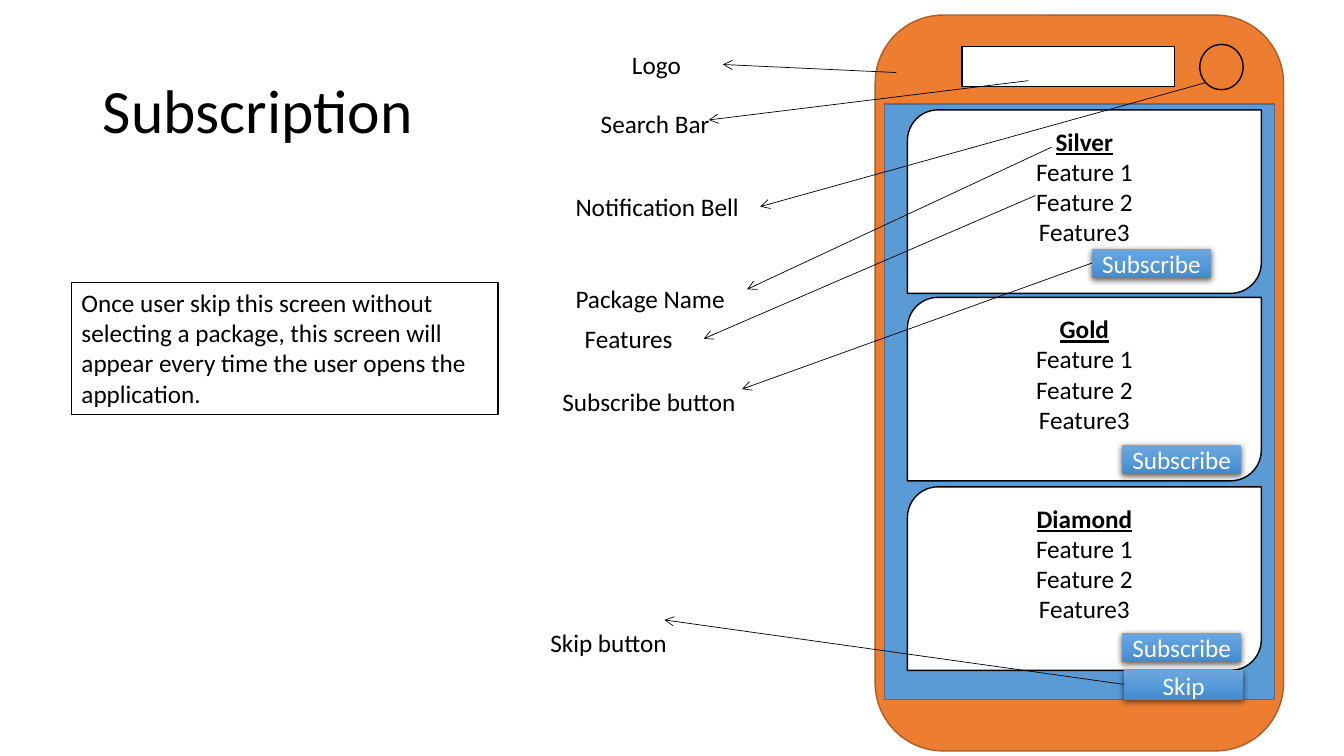
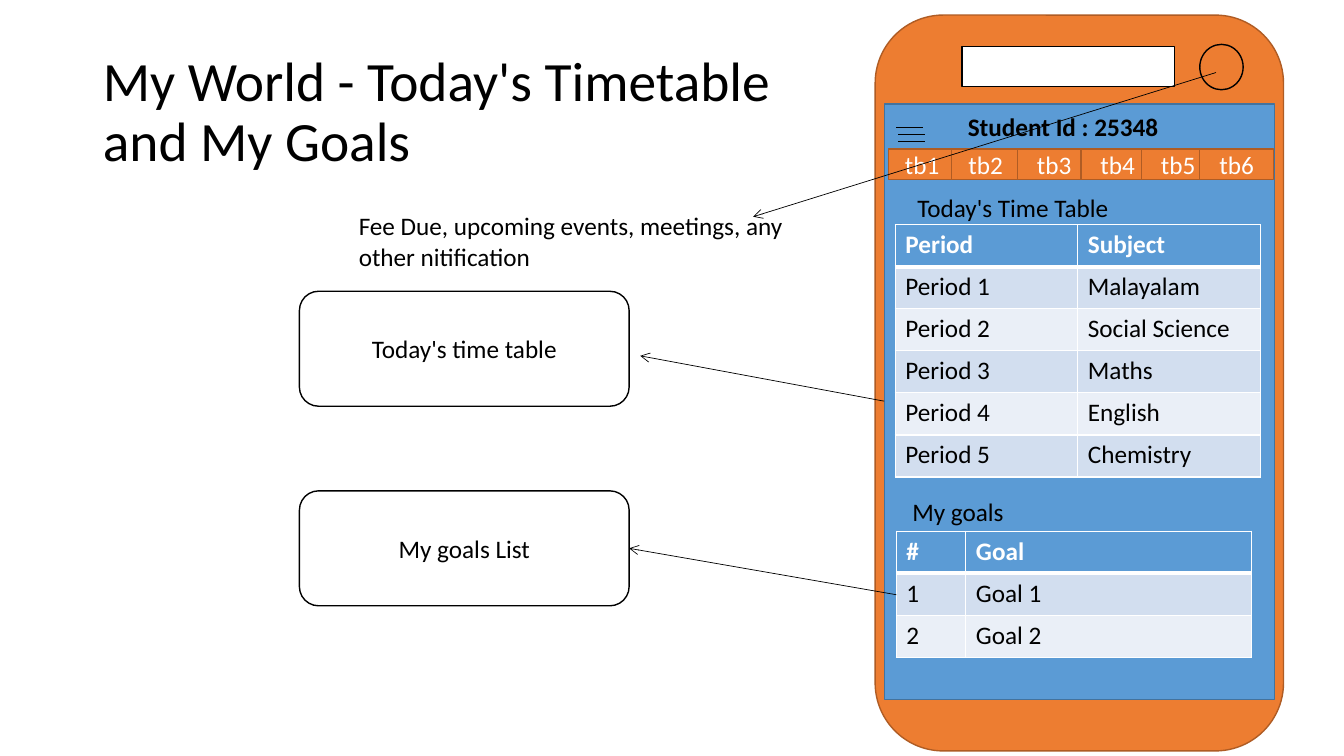
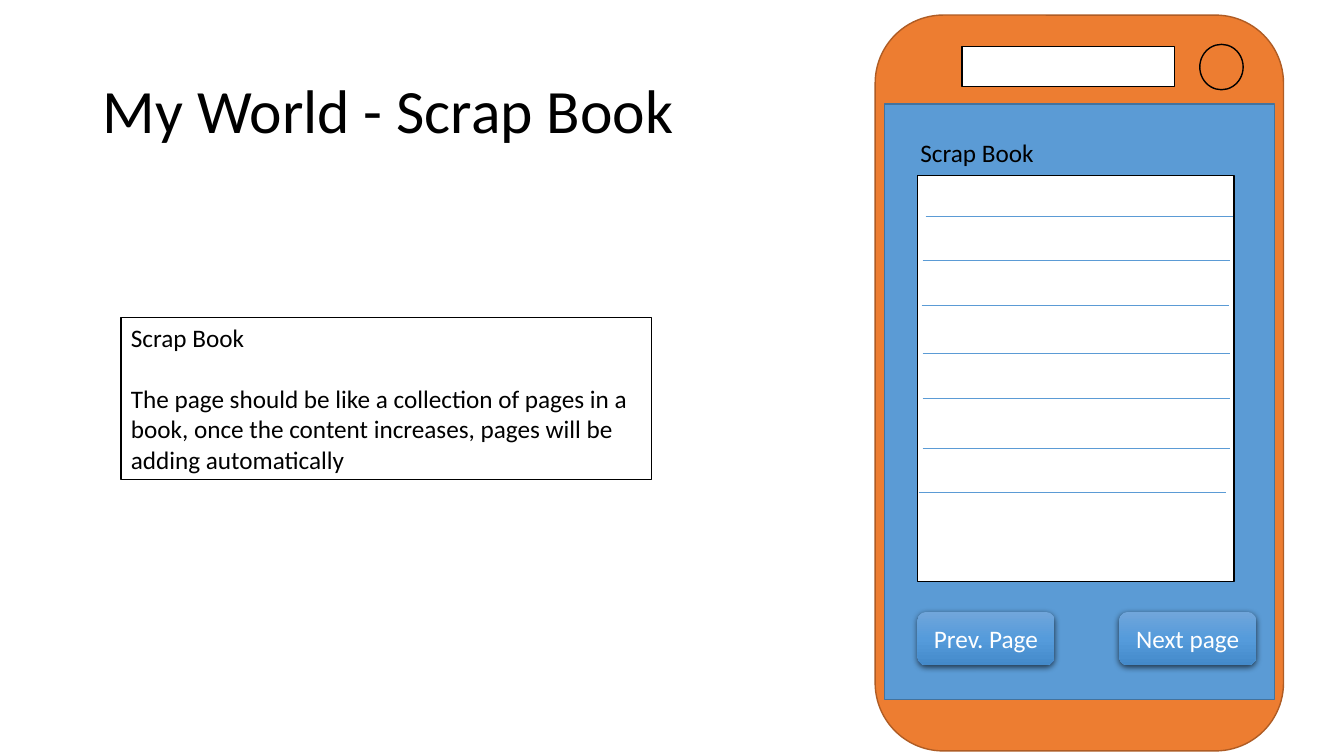
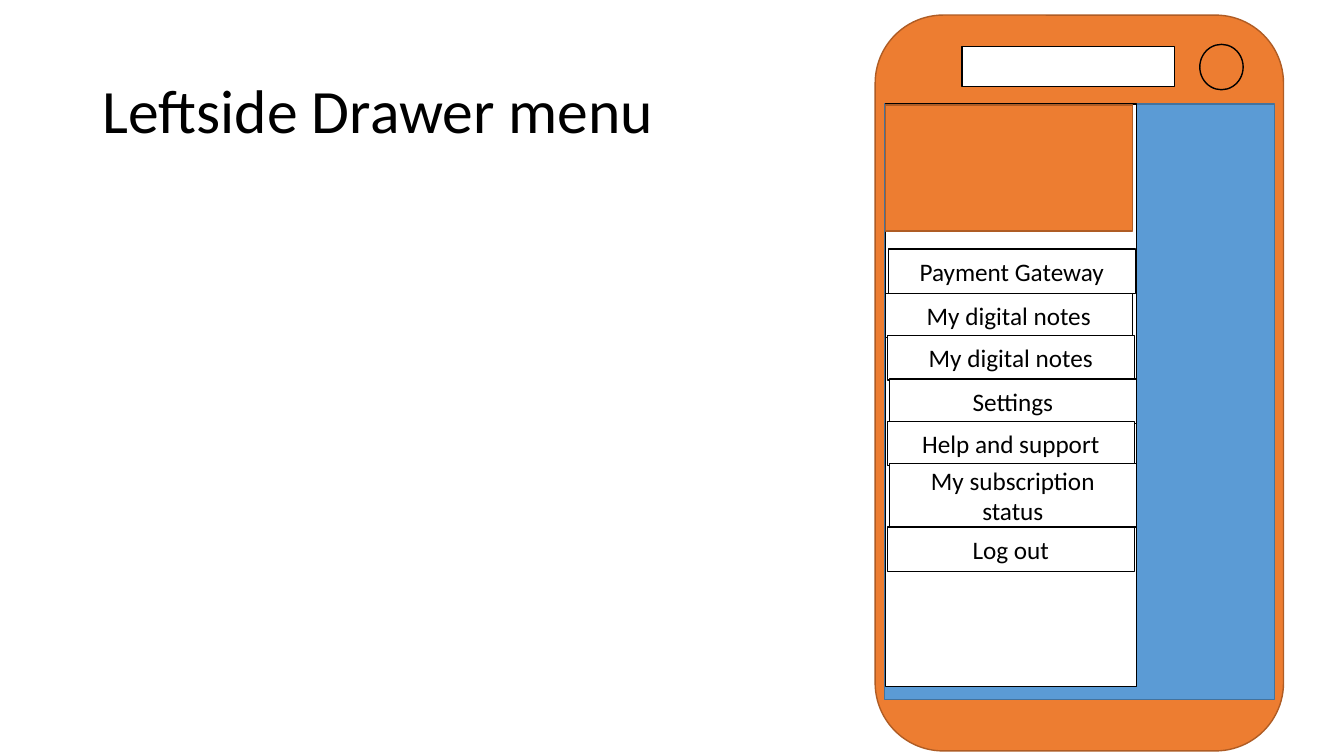
"""Build four wireframe slides of a school app, each with a phone mock-up."""
from dataclasses import dataclass
from typing import Any, NamedTuple

from lxml import etree
from pptx import Presentation
from pptx.dml.color import RGBColor
from pptx.enum.shapes import MSO_CONNECTOR, MSO_SHAPE as Preset
from pptx.enum.text import MSO_ANCHOR as Anchor, MSO_AUTO_SIZE as AutoSize, PP_ALIGN as Align
from pptx.oxml import parse_xml
from pptx.oxml.ns import nsdecls, qn
from pptx.util import Inches, Pt

COLORS = {
    "ink": "000000",
    "paper": "FFFFFF",
    "orange": "ED7D31",
    "orange_edge": "AF5C24",
    "blue": "5B9BD5",
    "blue_edge": "43739E",
    "band_dark": "D2DEEF",
    "band_light": "EAEFF7",
    "button_top": "71A6DB",
    "button_middle": "559BDB",
    "button_bottom": "448ACA",
}
BODY = {"name": "Calibri", "size": Pt(18), "bold": False, "underline": False}
STRONG = BODY | {"bold": True}
HEADING = STRONG | {"underline": True}


class Frame(NamedTuple):
    left: float
    top: float
    width: float
    height: float


class Point(NamedTuple):
    x: float
    y: float


@dataclass(frozen=True)
class Look:
    fill: str
    line: str
    text: str = "ink"
    preset: Any = Preset.RECTANGLE


@dataclass(frozen=True)
class Callout:
    text: str
    frame: Frame
    start: Point
    end: Point


@dataclass(frozen=True)
class Package:
    name: str
    top: float
    button: Point


@dataclass(frozen=True)
class MenuItem:
    text: str
    left: float
    top: float
    height: float = 0.44


WHITE = Look("paper", "ink")
ORANGE = Look("orange", "orange_edge", "paper")
SCREEN = Look("blue", "blue_edge")
BODY_SHELL = Look("orange", "orange_edge", preset=Preset.ROUNDED_RECTANGLE)
BELL = Look("orange", "ink", preset=Preset.OVAL)
CARD = Look("paper", "ink", preset=Preset.ROUND_2_DIAG_RECTANGLE)
ROUNDED = Look("paper", "ink", preset=Preset.ROUNDED_RECTANGLE)

PHONE = [
    (Frame(8.68, 0.15, 4.05, 7.3), BODY_SHELL),
    (Frame(9.54, 0.46, 2.11, 0.4), WHITE),
    (Frame(11.9, 0.44, 0.43, 0.45), BELL),
    (Frame(8.77, 1.03, 3.87, 5.91), SCREEN),
]
PACKAGES = [
    Package("Silver", 1.09, Point(10.83, 2.47)),
    Package("Gold", 2.95, Point(11.13, 4.41)),
    Package("Diamond", 4.83, Point(11.13, 6.28)),
]
CALLOUTS = [
    Callout("Logo", Frame(6.17, 0.44, 1, 0.4), Point(8.89, 0.72), Point(7.17, 0.64)),
    Callout("Search Bar", Frame(5.86, 1.03, 1.43, 0.4), Point(10.2, 0.8), Point(7.03, 1.19)),
    Callout("Notification Bell", Frame(5.61, 1.85, 1.93, 0.4), Point(11.96, 0.82), Point(7.54, 2.05)),
    Callout("Package Name", Frame(5.61, 2.76, 1.93, 0.4), Point(10.43, 1.46), Point(7.41, 2.87)),
    Callout("Features", Frame(5.7, 3.16, 1.93, 0.4), Point(10.27, 1.94), Point(6.98, 3.36)),
    Callout("Subscribe button", Frame(5.48, 3.78, 1.93, 0.4), Point(10.83, 2.61), Point(7.36, 3.86)),
    Callout("Skip button", Frame(5.36, 6.17, 1.93, 0.4), Point(11.15, 6.79), Point(6.59, 6.15)),
]
TABS = {"tb1 ": 8.81, "tb2 ": 9.44, "tb3": 10.09, "tb4": 10.72, "tb5": 11.32, "tb6": 11.9}
TIMETABLE = [
    ("Period", "Subject"),
    ("Period 1", "Malayalam"),
    ("Period 2", "Social Science"),
    ("Period 3", "Maths"),
    ("Period 4", "English"),
    ("Period 5", "Chemistry"),
]
GOALS = [("#", "Goal"), ("1", "Goal 1"), ("2", "Goal 2")]
BURGER_LINES = [Point(8.89, 1.26), Point(8.91, 1.33), Point(8.91, 1.4)]
RULED_LINES = [
    Point(9.18, 2.15), Point(9.15, 2.58), Point(9.14, 3.03), Point(9.15, 3.51),
    Point(9.15, 3.95), Point(9.15, 4.45), Point(9.11, 4.88),
]
MENU = [
    MenuItem("Payment Gateway", 8.81, 2.47),
    MenuItem("My digital notes", 8.78, 2.91),
    MenuItem("My digital notes", 8.8, 3.33),
    MenuItem("Settings", 8.82, 3.76),
    MenuItem("Help and support", 8.8, 4.18),
    MenuItem("My subscription status", 8.82, 4.6, 0.63),
    MenuItem("Log out", 8.8, 5.23),
]


def rgb(color: str) -> RGBColor:
    return RGBColor.from_string(COLORS[color])


def apply(target: Any, values: dict[str, Any]) -> None:
    for name, value in values.items():
        setattr(target, name, value)


def write(text_frame: Any, lines: list[str], color: str = "ink",
          align: Any = Align.LEFT, first: dict[str, Any] = BODY) -> None:
    for index, line in enumerate(lines):
        para = text_frame.add_paragraph() if index else text_frame.paragraphs[0]
        para.alignment = align
        span = para.add_run()
        span.text = line
        apply(span.font, BODY if index else first)
        span.font.color.rgb = rgb(color)


def add_box(page: Any, frame: Frame, look: Look, lines: list[str] | None = None,
            align: Any = Align.CENTER, anchor: Any = Anchor.MIDDLE,
            first: dict[str, Any] = BODY) -> Any:
    box = page.shapes.add_shape(look.preset, *map(Inches, frame))
    box.shadow.inherit = False
    box.fill.solid()
    box.fill.fore_color.rgb = rgb(look.fill)
    box.line.color.rgb = rgb(look.line)
    box.line.width = Pt(1)
    apply(box.text_frame, {"word_wrap": True, "vertical_anchor": anchor})
    if lines:
        write(box.text_frame, lines, look.text, align, first)
    return box


def add_button(page: Any, frame: Frame, text: str, preset: Any = Preset.RECTANGLE) -> None:
    button = page.shapes.add_shape(preset, *map(Inches, frame))
    names = ("button_top", "button_middle", "button_bottom")
    stops = "".join(
        f'<a:gs pos="{index * 50000}"><a:srgbClr val="{COLORS[name]}"/></a:gs>'
        for index, name in enumerate(names)
    )
    properties = button._element.spPr
    properties.append(parse_xml(
        f'<a:gradFill {nsdecls("a")} rotWithShape="1"><a:gsLst>{stops}</a:gsLst>'
        '<a:lin ang="5400000" scaled="0"/></a:gradFill>'
    ))
    button.line.fill.background()
    button.shadow.inherit = False
    properties.find(qn("a:effectLst")).append(parse_xml(
        f'<a:outerShdw {nsdecls("a")} blurRad="{Pt(4.5)}" dist="{Pt(1.5)}" dir="5400000" '
        'algn="ctr" rotWithShape="0"><a:srgbClr val="000000"><a:alpha val="63000"/>'
        '</a:srgbClr></a:outerShdw>'
    ))
    apply(button.text_frame, {"word_wrap": True, "vertical_anchor": Anchor.MIDDLE})
    write(button.text_frame, [text], "paper", Align.CENTER)


def add_label(page: Any, frame: Frame, text: str, style: dict[str, Any] = BODY) -> None:
    label = page.shapes.add_textbox(*map(Inches, frame))
    label.text_frame.word_wrap = True
    write(label.text_frame, [text], first=style)


def add_line(page: Any, start: Point, end: Point, color: str = "ink", arrow: bool = False) -> None:
    line = page.shapes.add_connector(MSO_CONNECTOR.STRAIGHT, *map(Inches, (*start, *end)))
    line.line.color.rgb = rgb(color)
    line.line.width = Pt(0.5)
    properties = line._element.spPr
    if arrow:
        etree.SubElement(properties.find(qn("a:ln")), qn("a:tailEnd"), type="arrow")
    etree.SubElement(properties, qn("a:effectLst"))


def add_rules(page: Any, starts: list[Point], length: float, color: str) -> None:
    for start in starts:
        add_line(page, start, Point(start.x + length, start.y), color)


def set_borders(cell: Any, bottom: float) -> None:
    for side, width in {"L": 1, "R": 1, "T": 1, "B": bottom}.items():
        cell._tc.get_or_add_tcPr().append(parse_xml(
            f'<a:ln{side} {nsdecls("a")} w="{Pt(width)}"><a:solidFill>'
            f'<a:srgbClr val="{COLORS["paper"]}"/></a:solidFill></a:ln{side}>'
        ))


def add_grid(page: Any, left: float, top: float, widths: list[float],
             rows: list[tuple[str, str]]) -> None:
    row_height = 0.417
    frame = Frame(left, top, sum(widths), row_height * len(rows))
    table = page.shapes.add_table(len(rows), len(widths), *map(Inches, frame)).table
    for column, width in zip(table.columns, widths):
        column.width = Inches(width)
    for row_index, row in enumerate(rows):
        header = row_index == 0
        band = "blue" if header else "band_dark" if row_index % 2 else "band_light"
        for column_index, text in enumerate(row):
            cell = table.cell(row_index, column_index)
            set_borders(cell, 3 if header else 1)
            cell.fill.solid()
            cell.fill.fore_color.rgb = rgb(band)
            write(cell.text_frame, [text], "paper" if header else "ink",
                  first=STRONG if header else BODY)


def add_page(deck: Any, title: str, size: float = 44) -> Any:
    page = deck.slides.add_slide(deck.slide_layouts[5])
    holder = page.shapes.title
    frame = Frame(0.92, 0.4, 11.5, 1.45)
    apply(holder, dict(zip(frame._fields, map(Inches, frame))))
    apply(holder.text_frame, {"auto_size": AutoSize.NONE, "word_wrap": True,
                              "vertical_anchor": Anchor.MIDDLE})
    para = holder.text_frame.paragraphs[0]
    para.text = title
    apply(para, {"alignment": Align.LEFT, "line_spacing": 0.9})
    for span in para.runs:
        apply(span.font, BODY | {"size": Pt(size)})
        span.font.color.rgb = rgb("ink")
    for part, look in PHONE:
        add_box(page, part, look)
    return page


def build_subscription(deck: Any) -> None:
    page = add_page(deck, "Subscription")
    for package in PACKAGES:
        card = add_box(page, Frame(9, package.top, 3.51, 1.82), CARD,
                       [package.name, "Feature 1", "Feature 2", "Feature3"], first=HEADING)
        card.text_frame.margin_bottom = Inches(0.35)
        add_button(page, Frame(*package.button, 1.18, 0.29), "Subscribe")
    add_button(page, Frame(11.15, 6.65, 1.18, 0.29), "Skip")
    for callout in CALLOUTS:
        add_label(page, callout.frame, callout.text)
        add_line(page, callout.start, callout.end, arrow=True)
    add_box(page, Frame(0.71, 2.8, 4.23, 1.31), WHITE,
            ["Once user skip this screen without selecting a package, this screen will "
             "appear every time the user opens the application."], Align.LEFT, Anchor.TOP)


def build_timetable(deck: Any) -> None:
    page = add_page(deck, "My World - Today's Timetable\vand My Goals", 39.6)
    add_rules(page, BURGER_LINES, 0.26, "ink")
    for text, left in TABS.items():
        add_box(page, Frame(left, 1.48, 0.73, 0.3), ORANGE, [text])
    add_label(page, Frame(9, 1.86, 2.7, 0.4), "Today's Time Table")
    add_grid(page, 8.88, 2.23, [1.81, 1.81], TIMETABLE)
    add_label(page, Frame(8.95, 4.87, 2.7, 0.4), "My goals")
    add_grid(page, 8.89, 5.27, [0.69, 2.83], GOALS)
    add_label(page, Frame(3.46, 2.04, 4.59, 0.71),
              "Fee Due, upcoming events, meetings, any other nitification")
    for text, top in {"Today's time table": 2.89, "My goals List": 4.87}.items():
        add_box(page, Frame(2.97, top, 3.27, 1.14), ROUNDED, [text])
    for start, end in [
        (Point(12.06, 0.72), Point(7.47, 2.15)),
        (Point(8.77, 3.98), Point(6.35, 3.53)),
        (Point(8.89, 5.9), Point(6.24, 5.44)),
    ]:
        add_line(page, start, end, arrow=True)
    add_label(page, Frame(9.5, 1.06, 2.58, 0.4), "Student Id : 25348", STRONG)


def build_scrap_book(deck: Any) -> None:
    page = add_page(deck, "My World - Scrap Book")
    note = add_box(page, Frame(1.2, 3.15, 5.26, 1.61), WHITE,
                   ["Scrap Book",
                    "The page should be like a collection of pages in a book, once the "
                    "content increases, pages will be adding automatically"],
                   Align.LEFT, Anchor.TOP)
    note.text_frame.paragraphs[1].space_before = Pt(22)
    add_label(page, Frame(9.03, 1.31, 3.28, 0.4), "Scrap Book")
    add_box(page, Frame(9.1, 1.74, 3.14, 4.03), WHITE)
    for text, left in {"Next page": 11.1, "Prev. Page": 9.1}.items():
        add_button(page, Frame(left, 6.07, 1.36, 0.53), text, Preset.ROUNDED_RECTANGLE)
    add_rules(page, RULED_LINES, 3.05, "blue")


def build_drawer_menu(deck: Any) -> None:
    page = add_page(deck, "Leftside Drawer menu")
    add_box(page, Frame(8.78, 1.03, 2.49, 5.78), WHITE)
    add_box(page, Frame(8.78, 1.04, 2.45, 1.25), ORANGE)
    for item in MENU:
        add_box(page, Frame(item.left, item.top, 2.45, item.height), WHITE, [item.text])


def main() -> None:
    deck = Presentation()
    apply(deck, {"slide_width": Inches(13.33), "slide_height": Inches(7.5)})
    for build in (build_subscription, build_timetable, build_scrap_book, build_drawer_menu):
        build(deck)
    deck.save("out.pptx")


if __name__ == "__main__":
    main()
